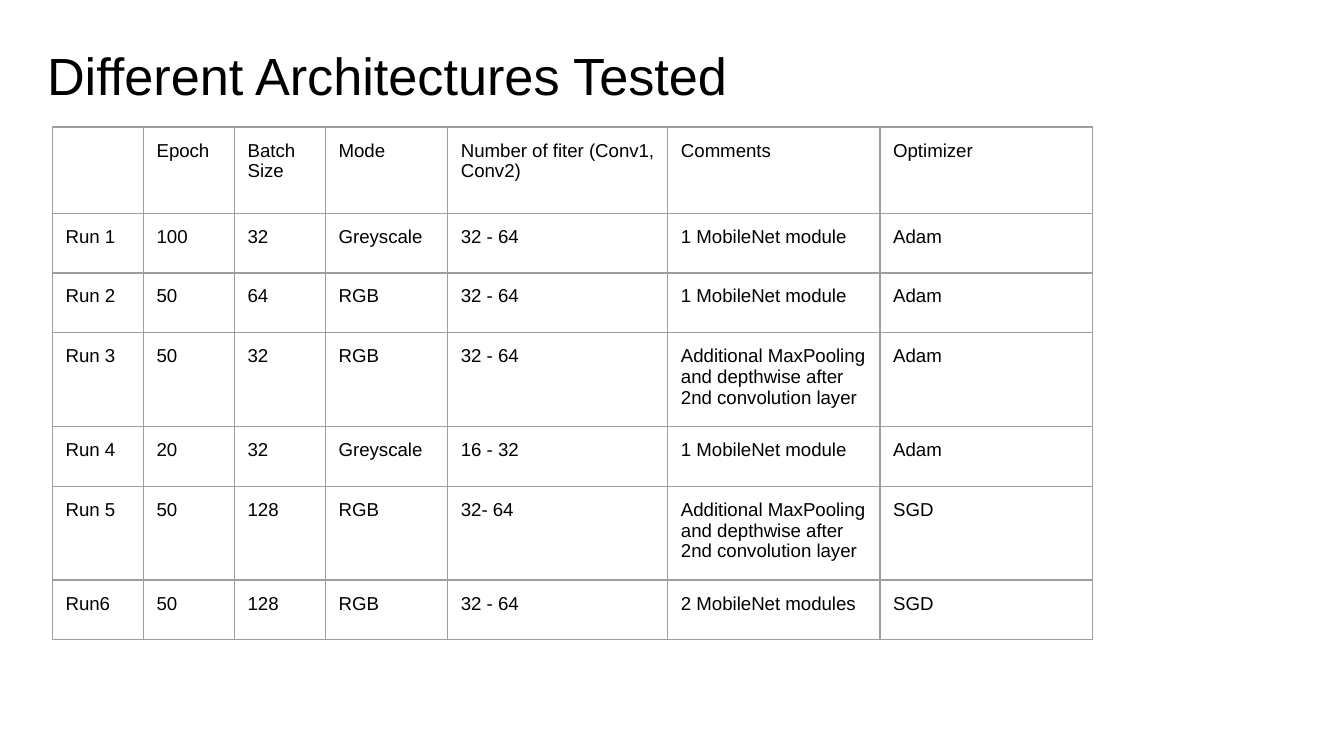
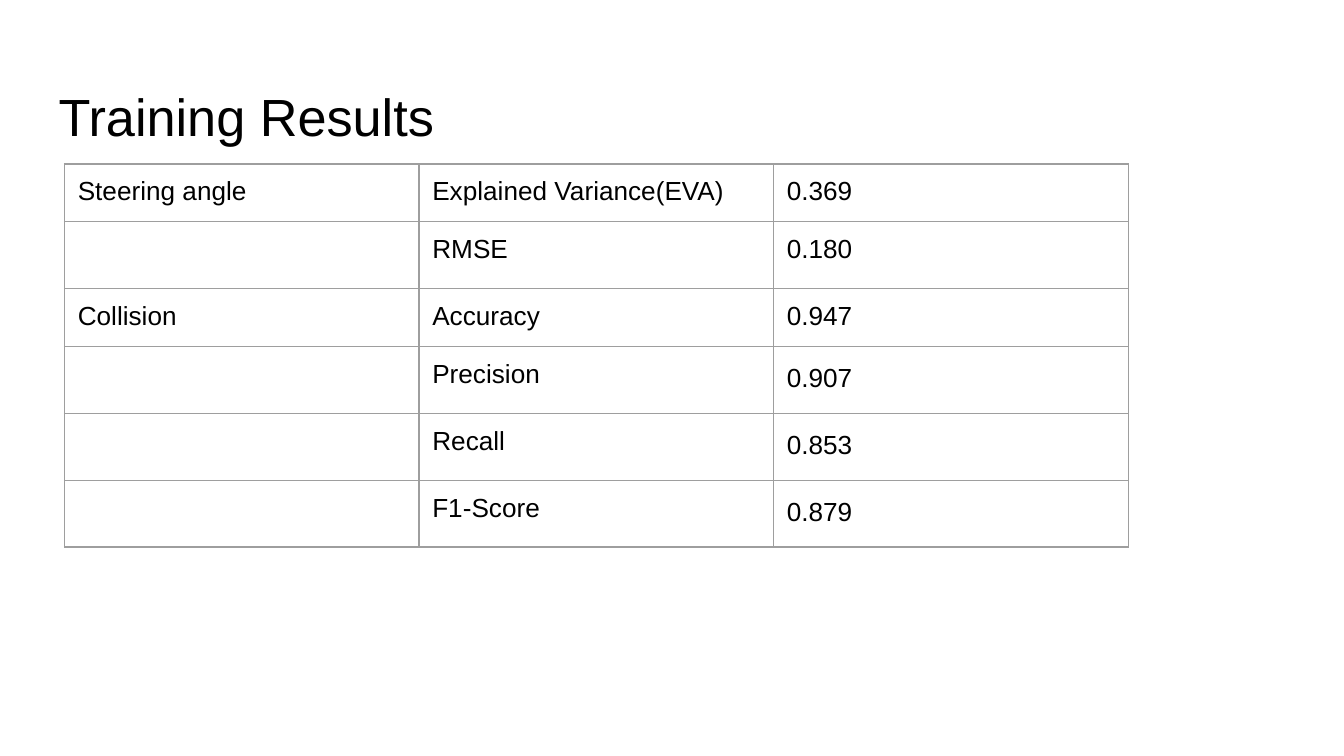
from dataclasses import dataclass

from lxml import etree
from pptx import Presentation
from pptx.dml.color import RGBColor
from pptx.enum.text import MSO_ANCHOR
from pptx.oxml.ns import qn
from pptx.util import Cm, Pt

TOP = MSO_ANCHOR.TOP
BLANK_LAYOUT = 6
BORDER_SIDES = ("a:lnL", "a:lnR", "a:lnT", "a:lnB")


@dataclass(frozen=True)
class Theme:
    font: str = "Arial"
    background: str = "FFFFFF"
    ink: str = "000000"
    border: str = "9E9E9E"
    border_width: float = 0.75
    title_size: int = 28
    detail_size: int = 10
    result_size: int = 14
    inset: float = 0.25
    loose_spacing: float = 1.15


class Deck:
    def __init__(self, theme):
        self.theme = theme
        self.presentation = Presentation()
        self.presentation.slide_width = Cm(25.4)
        self.presentation.slide_height = Cm(14.29)
        self.slide = None

    def add_slide(self):
        layout = self.presentation.slide_layouts[BLANK_LAYOUT]
        self.slide = self.presentation.slides.add_slide(layout)
        fill = self.slide.background.fill
        fill.solid()
        fill.fore_color.rgb = RGBColor.from_string(self.theme.background)

    def add_run(self, paragraph, text, size):
        run = paragraph.add_run()
        run.text = text
        run.font.name = self.theme.font
        run.font.size = Pt(size)
        run.font.color.rgb = RGBColor.from_string(self.theme.ink)

    def set_insets(self, holder):
        inset = Cm(self.theme.inset)
        holder.margin_left = holder.margin_right = inset
        holder.margin_top = holder.margin_bottom = inset
        holder.vertical_anchor = TOP

    def add_title(self, text, left, top):
        shape = self.slide.shapes.add_textbox(Cm(left), Cm(top), Cm(23.67), Cm(1.6))
        frame = shape.text_frame
        frame.word_wrap = True
        self.set_insets(frame)
        self.add_run(frame.paragraphs[0], text, self.theme.title_size)

    def add_borders(self, cell):
        properties = cell._tc.get_or_add_tcPr()
        for side in BORDER_SIDES:
            line = etree.SubElement(
                properties, qn(side), w=str(Pt(self.theme.border_width))
            )
            fill = etree.SubElement(line, qn("a:solidFill"))
            etree.SubElement(fill, qn("a:srgbClr"), val=self.theme.border)

    def add_table(self, rows, left, top, widths, heights, size, loose_cells=()):
        shape = self.slide.shapes.add_table(
            len(rows), len(widths), Cm(left), Cm(top), Cm(sum(widths)), Cm(sum(heights))
        )
        table = shape.table
        table.first_row = False
        table.horz_banding = False
        for column, width in zip(table.columns, widths):
            column.width = Cm(width)
        for row, height in zip(table.rows, heights):
            row.height = Cm(height)
        for row_index, values in enumerate(rows):
            for column_index, text in enumerate(values):
                cell = table.cell(row_index, column_index)
                self.set_insets(cell)
                self.add_borders(cell)
                cell.fill.background()
                if not text:
                    continue
                paragraph = cell.text_frame.paragraphs[0]
                if (row_index, column_index) in loose_cells:
                    paragraph.line_spacing = self.theme.loose_spacing
                self.add_run(paragraph, text, size)


DEEPER_NETWORK = "Additional MaxPooling and depthwise after 2nd convolution layer"
ARCHITECTURES = [
    ("", "Epoch", "Batch Size", "Mode", "Number of fiter (Conv1, Conv2)",
     "Comments", "Optimizer"),
    ("Run 1", "100", "32", "Greyscale", "32 - 64", "1 MobileNet module", "Adam"),
    ("Run 2", "50", "64", "RGB", "32 - 64", "1 MobileNet module", "Adam"),
    ("Run 3", "50", "32", "RGB", "32 - 64", DEEPER_NETWORK, "Adam"),
    ("Run 4", "20", "32", "Greyscale", "16 - 32", "1 MobileNet module", "Adam"),
    ("Run 5", "50", "128", "RGB", "32- 64", DEEPER_NETWORK, "SGD"),
    ("Run6", "50", "128", "RGB", "32 - 64", "2 MobileNet modules", "SGD"),
]
RESULTS = [
    ("Steering angle", "Explained Variance(EVA)", "0.369"),
    ("", "RMSE", "0.180"),
    ("Collision", "Accuracy", "0.947"),
    ("", "Precision", "0.907"),
    ("", "Recall", "0.853"),
    ("", "F1-Score", "0.879"),
]


def build_architectures(deck):
    deck.add_slide()
    deck.add_title("Different Architectures Tested", 0.64, 0.56)
    deck.add_table(
        ARCHITECTURES,
        left=0.99,
        top=2.4,
        widths=[1.72] * 3 + [2.31, 4.16] + [4.01] * 2,
        heights=[1.63] + [1.13] * 6,
        size=deck.theme.detail_size,
    )


def build_results(deck):
    deck.add_slide()
    deck.add_title("Training Results", 0.86, 1.35)
    deck.add_table(
        RESULTS,
        left=1.22,
        top=3.1,
        widths=[6.7] * 3,
        heights=[1.07] * len(RESULTS),
        size=deck.theme.result_size,
        loose_cells=[(row, 2) for row in range(3, 6)],
    )


def main():
    deck = Deck(Theme())
    build_architectures(deck)
    build_results(deck)
    deck.presentation.save("out.pptx")


if __name__ == "__main__":
    main()
